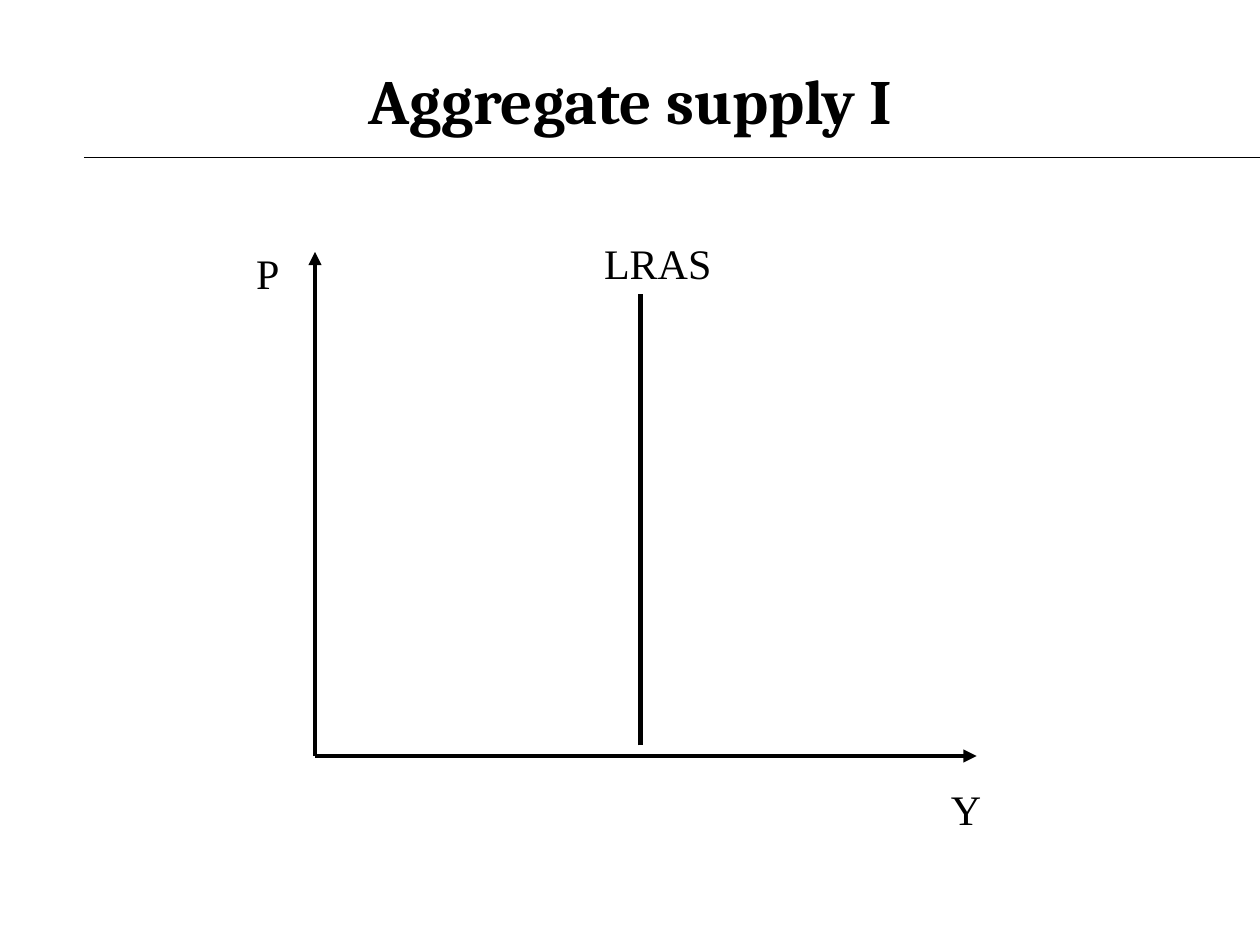
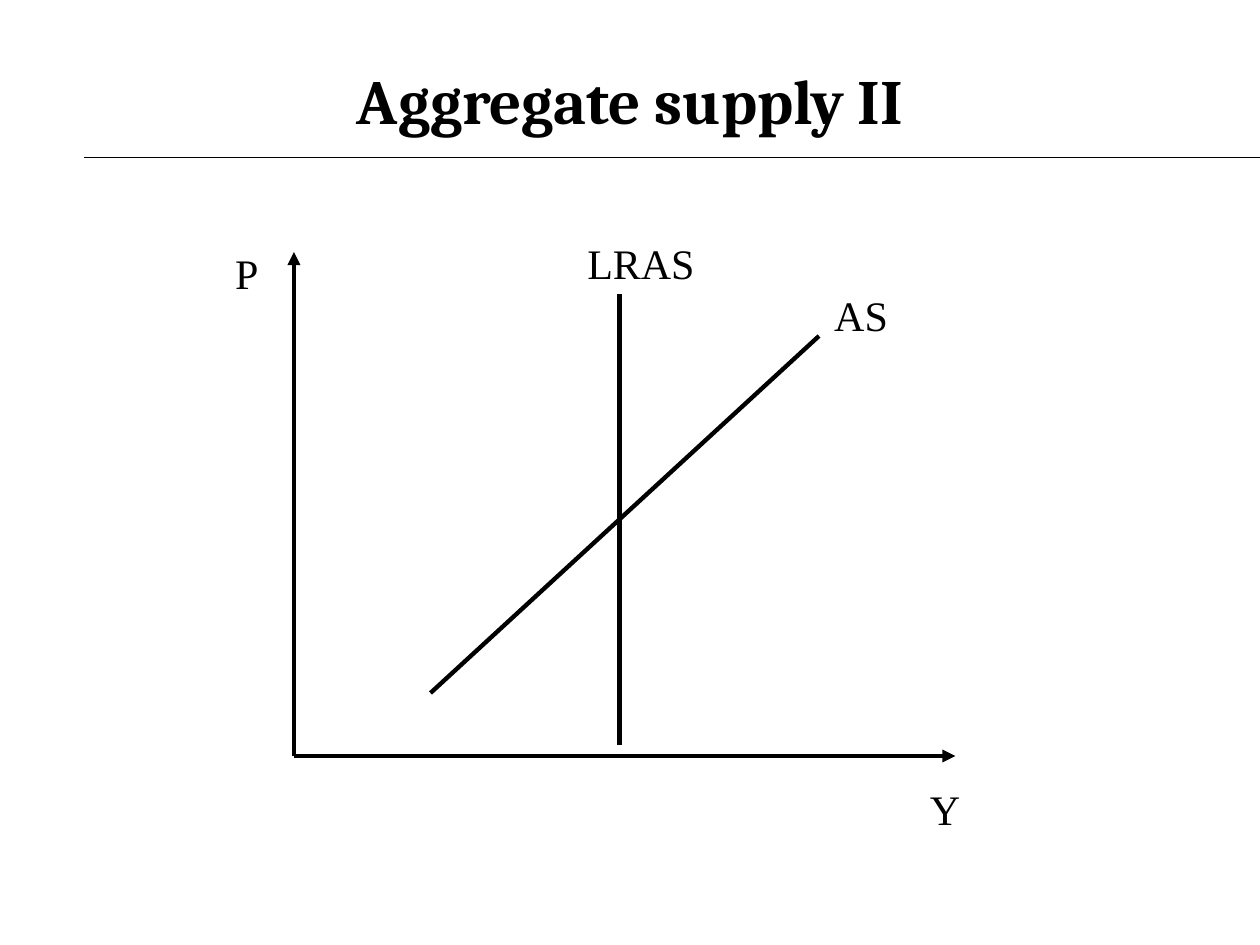
from dataclasses import dataclass
from typing import Any

from lxml.etree import SubElement
from pptx import Presentation
from pptx.dml.color import RGBColor
from pptx.enum.shapes import MSO_CONNECTOR
from pptx.enum.text import MSO_ANCHOR, PP_ALIGN
from pptx.oxml.ns import qn
from pptx.slide import Slide
from pptx.text.text import TextFrame
from pptx.util import Pt

PX = 7620


@dataclass(frozen=True)
class Theme:
    """Colours, fonts, type sizes and line widths of the deck."""

    ink: RGBColor = RGBColor(0, 0, 0)
    title_font: str = "Cambria"
    label_font: str = "Times New Roman"
    title_size: int = 36
    label_size: int = 24
    rule_width: float = 0.75
    curve_width: float = 2.5


@dataclass(frozen=True)
class Line:
    """A straight line between two points, in px."""

    start: tuple[int, int]
    end: tuple[int, int]
    width: float
    arrow: bool = False


@dataclass(frozen=True)
class Label:
    """A centred label in a box, in px."""

    text: str
    left: int
    top: int
    width: int
    height: int = 60


@dataclass(frozen=True)
class Diagram:
    """A supply diagram; horizontal places count from its origin."""

    title: str
    origin: int
    lines: tuple[Line, ...]
    labels: tuple[Label, ...]


THEME = Theme()
TITLE_FORMAT = {"name": THEME.title_font, "size": Pt(THEME.title_size), "bold": True}
LABEL_FORMAT = {"name": THEME.label_font, "size": Pt(THEME.label_size), "bold": False}
TITLE_PLACE = {"left": 60 * PX, "top": 40 * PX, "width": 1080 * PX, "height": 110 * PX}

RULE = Line((80, 150), (1200, 150), THEME.rule_width)
BASE_LINES = (
    Line((0, 720), (630, 720), THEME.curve_width, arrow=True),
    Line((0, 720), (0, 240), THEME.curve_width, arrow=True),
    Line((310, 710), (310, 280), THEME.curve_width),
)
AS_LINE = Line((130, 660), (500, 320), THEME.curve_width)
AXIS_LABELS = (Label("Y", 580, 740, 80), Label("P", -80, 230, 70))

DIAGRAMS = (
    Diagram(
        "Aggregate supply I",
        300,
        BASE_LINES,
        (*AXIS_LABELS, Label("LRAS", 263, 220, 127)),
    ),
    Diagram(
        "Aggregate supply II",
        280,
        (*BASE_LINES, AS_LINE),
        (*AXIS_LABELS, Label("LRAS", 262, 220, 137), Label("AS", 500, 270, 80)),
    ),
)


def set_values(target: Any, values: dict[str, Any]) -> None:
    """Set each named attribute of the target."""
    for name, value in values.items():
        setattr(target, name, value)


def write_text(frame: TextFrame, text: str, font_format: dict[str, Any]) -> None:
    """Write one centred paragraph."""
    para = frame.paragraphs[0]
    para.alignment = PP_ALIGN.CENTER
    span = para.add_run()
    span.text = text
    set_values(span.font, font_format)
    span.font.color.rgb = THEME.ink


def draw_title(page: Slide, text: str) -> None:
    """Place and fill the title placeholder."""
    box = page.shapes.title
    set_values(box, TITLE_PLACE)
    box.text_frame.vertical_anchor = MSO_ANCHOR.MIDDLE
    write_text(box.text_frame, text, TITLE_FORMAT)


def draw_line(page: Slide, line: Line, origin: int = 0) -> None:
    """Draw a line, with an arrowhead at its end if it has one."""
    (start_x, start_y), (end_x, end_y) = line.start, line.end
    connector = page.shapes.add_connector(
        MSO_CONNECTOR.STRAIGHT,
        (origin + start_x) * PX,
        start_y * PX,
        (origin + end_x) * PX,
        end_y * PX,
    )
    connector.line.width = Pt(line.width)
    connector.line.color.rgb = THEME.ink
    if line.arrow:
        SubElement(connector.line._get_or_add_ln(), qn("a:tailEnd"), type="triangle")
    SubElement(connector._element.spPr, qn("a:effectLst"))


def draw_label(page: Slide, label: Label, origin: int) -> None:
    """Draw a label on one line."""
    box = page.shapes.add_textbox(
        (origin + label.left) * PX,
        label.top * PX,
        label.width * PX,
        label.height * PX,
    )
    box.text_frame.word_wrap = False
    write_text(box.text_frame, label.text, LABEL_FORMAT)


def draw_page(page: Slide, diagram: Diagram) -> None:
    """Draw the rule, the title and the diagram."""
    draw_line(page, RULE)
    draw_title(page, diagram.title)
    for line in diagram.lines:
        draw_line(page, line, diagram.origin)
    for label in diagram.labels:
        draw_label(page, label, diagram.origin)


def main() -> None:
    """Build and save the deck."""
    deck = Presentation()
    set_values(deck, {"slide_width": 1200 * PX, "slide_height": 900 * PX})
    title_only = deck.slide_layouts.get_by_name("Title Only")
    for diagram in DIAGRAMS:
        draw_page(deck.slides.add_slide(title_only), diagram)
    deck.save("out.pptx")


if __name__ == "__main__":
    main()
